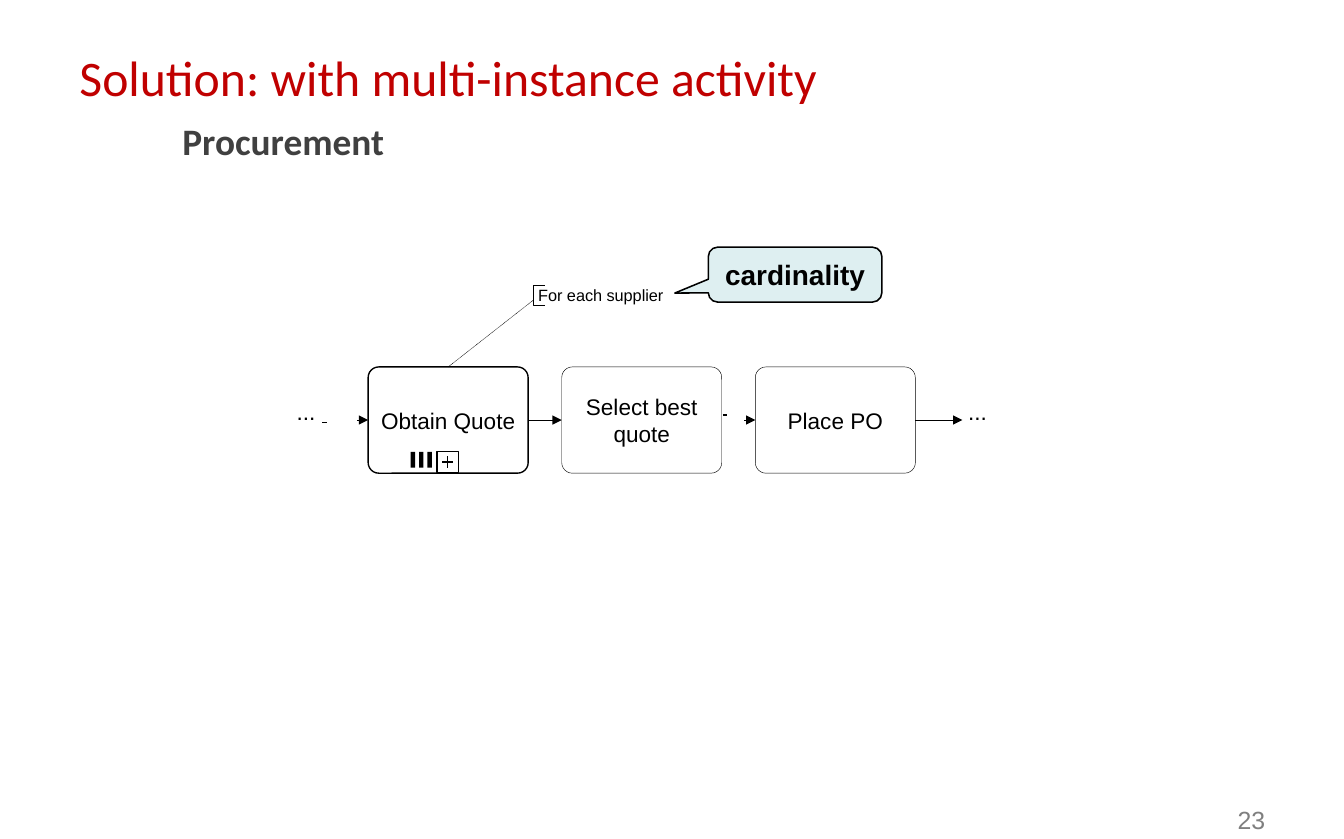
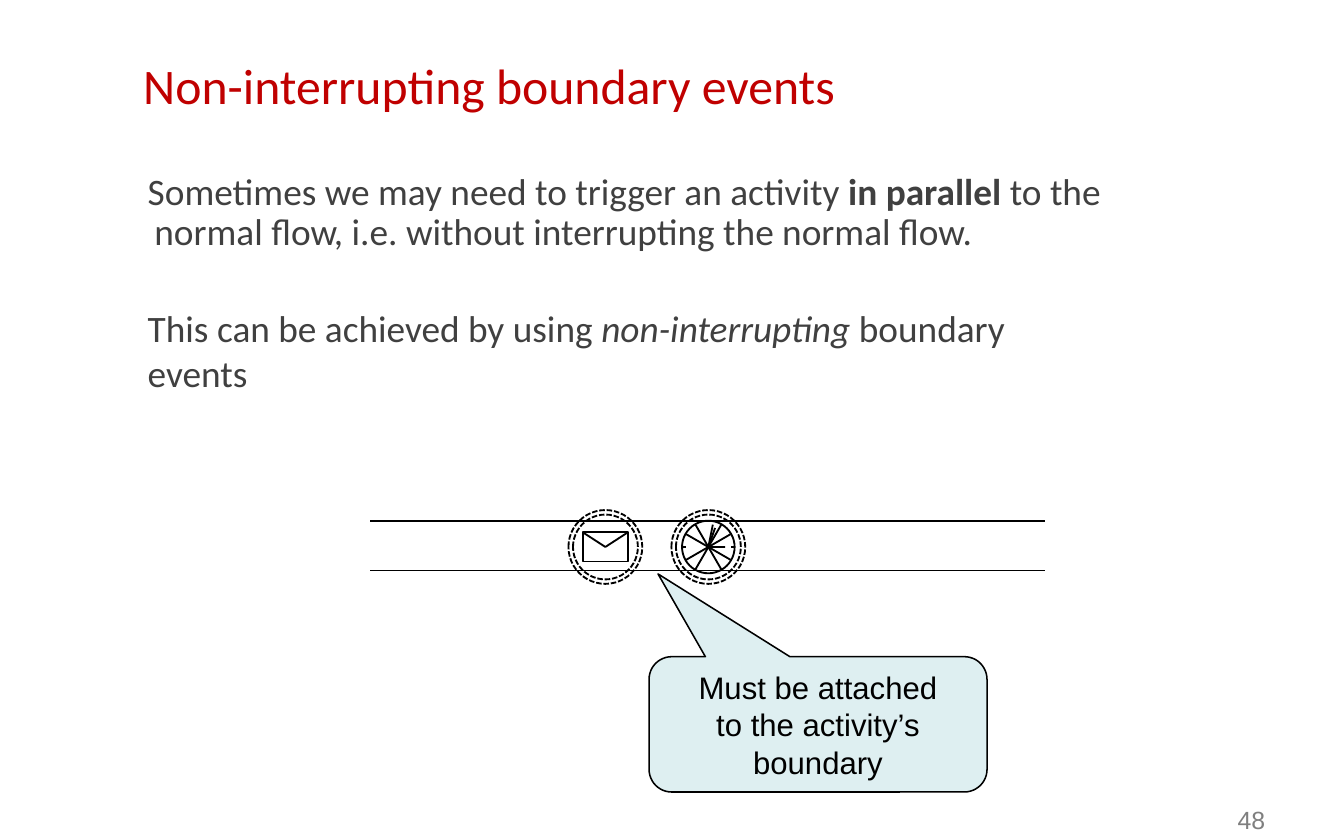
from math import cos, radians, sin

from pptx import Presentation
from pptx.dml.color import RGBColor
from pptx.enum.dml import MSO_LINE as Dash
from pptx.enum.shapes import MSO_CONNECTOR as Connector, MSO_SHAPE as Preset
from pptx.enum.text import MSO_ANCHOR as Anchor, MSO_AUTO_SIZE as AutoSize, PP_ALIGN as Align
from pptx.oxml.ns import qn
from pptx.util import Inches, Pt

RED, DARK, GREY = "C00000", "404040", "7F7F7F"
BLACK, WHITE, PALE = "000000", "FFFFFF", "DEEFF1"
HAIR, THIN, MEDIUM = 0.29, 0.87, 1.2

# Procurement flow
STEPS = [("Obtain Quote", THIN), ("Select best quote", HAIR), ("Place PO", HAIR)]
STEP_LEFT, STEP_TOP, STEP_WIDTH, STEP_HEIGHT, STEP_GAP = 3.29, 3.28, 1.43, 0.95, 0.3
FLOW_Y = STEP_TOP + STEP_HEIGHT / 2
ELLIPSES = [2.65, 8.65]
FLOW_DASHES = [(2.88, 3.78), (6.46, 3.71)]

# Boundary events
BODY = [
    [("Sometimes we may need to trigger an activity ", ""), ("in parallel", "bold"),
     (" to the", ""), None,
     ("normal flow, i.e. without interrupting the normal flow.", "")],
    [("This can be achieved by using ", ""), ("non-interrupting", "italic"),
     (" boundary", ""), None, ("events", "")],
]
MESSAGE_X, TIMER_X, EVENT_Y = 5.41, 6.33, 4.89
EVENT_RINGS = [0.66, 0.58]
CLOCK_SIZE, SPOKE = 0.47, 0.23
BOUNDARY_LINES = [(4.66, 1.4), (5.1, 0.75)]


def rgb(hex_code):
    return RGBColor.from_string(hex_code)


def style_font(font, size, color, name="Arial", bold=False):
    font.name, font.size, font.bold = name, Pt(size), bold
    font.color.rgb = rgb(color)


def reset_frame(frame, anchor=Anchor.TOP, side=0):
    frame.margin_left = frame.margin_right = Inches(side)
    frame.margin_top = frame.margin_bottom = 0
    frame.word_wrap = True
    frame.auto_size = AutoSize.NONE
    frame.vertical_anchor = anchor


def add_text(page, text, left, top, width, height, size, color=BLACK):
    box = page.shapes.add_textbox(*map(Inches, (left, top, width, height)))
    reset_frame(box.text_frame)
    box.text_frame.text = text
    style_font(box.text_frame.paragraphs[0].runs[0].font, size, color)
    return box


def paint(shape, fill, line, width):
    """Set fill and outline; None leaves either one out."""
    shape.shadow.inherit = False
    if fill:
        shape.fill.solid()
        shape.fill.fore_color.rgb = rgb(fill)
    else:
        shape.fill.background()
    if line:
        shape.line.color.rgb = rgb(line)
        shape.line.width = Pt(width)
    else:
        shape.line.fill.background()
    return shape


def add_preset(page, kind, left, top, width, height, fill=None, line=BLACK, weight=MEDIUM):
    shape = page.shapes.add_shape(kind, *map(Inches, (left, top, width, height)))
    return paint(shape, fill, line, weight)


def add_centred(page, kind, x, y, width, height, **look):
    return add_preset(page, kind, x - width / 2, y - height / 2, width, height, **look)


def label(shape, text, size, bold=False, side=0.05):
    frame = shape.text_frame
    reset_frame(frame, Anchor.MIDDLE, side)
    frame.text = text
    frame.paragraphs[0].alignment = Align.CENTER
    style_font(frame.paragraphs[0].runs[0].font, size, BLACK, bold=bold)


def add_line(page, start, end, weight=MEDIUM, arrow=False):
    line = page.shapes.add_connector(Connector.STRAIGHT, *map(Inches, (*start, *end)))
    line.line.color.rgb = rgb(BLACK)
    line.line.width = Pt(weight)
    properties = line._element.spPr
    if arrow:
        outline = properties.find(qn("a:ln"))
        outline.append(outline.makeelement(qn("a:tailEnd"), {"type": "triangle"}))
    properties.append(properties.makeelement(qn("a:effectLst"), {}))
    return line


def add_polyline(page, points):
    corners = [(Inches(x), Inches(y)) for x, y in points]
    builder = page.shapes.build_freeform(*corners[0])
    builder.add_line_segments(corners[1:], close=False)
    return paint(builder.convert_to_shape(), None, BLACK, MEDIUM)


def add_callout(page, text, left, top, width, height, tip, size, bold=False, side=0.05):
    bubble = add_preset(page, Preset.ROUNDED_RECTANGULAR_CALLOUT,
                        left, top, width, height, fill=PALE, weight=1)
    bubble.adjustments[0] = (tip[0] - left - width / 2) / width
    bubble.adjustments[1] = (tip[1] - top - height / 2) / height
    bubble.adjustments[2] = 0.167
    label(bubble, text, size, bold, side)


def add_page(deck, title, left, top, number, subtitle=None):
    page = deck.slides.add_slide(deck.slide_layouts[5])
    holder = page.shapes.title
    holder.left, holder.top, holder.width, holder.height = map(Inches, (left, top, 9, 1.05))
    frame = holder.text_frame
    reset_frame(frame)
    frame.text = title
    para = frame.paragraphs[0]
    para.alignment = Align.LEFT
    style_font(para.runs[0].font, 32, RED, "Calibri")
    if subtitle:
        para = frame.add_paragraph()
        para.text = subtitle
        para.alignment = Align.LEFT
        para.space_before = Pt(7.5)
        para._p.get_or_add_pPr().set("marL", str(Inches(0.92)))
        style_font(para.runs[0].font, 24, DARK, "Calibri", bold=True)
    footer = add_text(page, number, 11.06, 7.2, 0.33, 0.28, 16, GREY)
    footer.text_frame.paragraphs[0].line_spacing = Pt(18.7)
    return page


def add_loop_markers(page):
    """Parallel bars and the sub-process plus sign."""
    for index in range(3):
        add_centred(page, Preset.RECTANGLE, 3.69 + index * 0.075, 4.11, 0.04, 0.14,
                    fill=BLACK, line=None)
    x, y, arm = 4.0, 4.13, 0.05
    add_centred(page, Preset.RECTANGLE, x, y, 0.19, 0.19, fill=WHITE, weight=THIN)
    add_line(page, (x, y - arm), (x, y + arm), THIN)
    add_line(page, (x - arm, y), (x + arm, y), THIN)


def build_procurement(deck):
    page = add_page(deck, "Solution: with multi-instance activity", 0.71, 0.42, "23",
                    "Procurement")
    boxes = []
    for index, (text, weight) in enumerate(STEPS):
        left = STEP_LEFT + index * (STEP_WIDTH + STEP_GAP)
        box = add_preset(page, Preset.ROUNDED_RECTANGLE, left, STEP_TOP,
                         STEP_WIDTH, STEP_HEIGHT, fill=WHITE, weight=weight)
        box.adjustments[0] = 0.1
        label(box, text, 14.5)
        boxes.append(box)
    obtain, select, place = boxes

    for start_x, source, target in [(3.19, None, obtain), (4.72, obtain, select),
                                    (6.65, None, place), (8.18, place, None)]:
        arrow = add_line(page, (start_x, FLOW_Y), (8.6, FLOW_Y), HAIR, arrow=True)
        if source:
            arrow.begin_connect(source, 3)
        if target:
            arrow.end_connect(target, 1)
    for x, y in FLOW_DASHES:
        add_line(page, (x, y), (x + 0.04, y), 0.75)
    for left in ELLIPSES:
        add_text(page, "...", left, 3.56, 0.25, 0.27, 14.5)
    add_loop_markers(page)

    association = add_line(page, (4, STEP_TOP), (4.77, 2.68), HAIR)
    association.begin_connect(obtain, 0)
    association.line.dash_style = Dash.ROUND_DOT
    bracket = add_preset(page, Preset.LEFT_BRACKET, 4.77, 2.55, 0.1, 0.18, weight=THIN)
    bracket.adjustments[0] = 0
    add_text(page, "For each supplier", 4.81, 2.55, 1.3, 0.2, 10.5)
    add_callout(page, "cardinality", 6.33, 2.21, 1.55, 0.49, (6.03, 2.62), 18, bold=True)


def add_body(page):
    box = page.shapes.add_textbox(*map(Inches, (1.29, 1.54, 8.9, 2.1)))
    frame = box.text_frame
    reset_frame(frame)
    for index, spans in enumerate(BODY):
        para = frame.add_paragraph() if index else frame.paragraphs[0]
        for span in spans:
            if span is None:
                para.add_line_break()
                continue
            run = para.add_run()
            run.text, emphasis = span
            style_font(run.font, 24, DARK, "Calibri", bold=emphasis == "bold")
            run.font.italic = emphasis == "italic"
    first, second = frame.paragraphs
    first.line_spacing = Pt(25.9)
    second.space_before = Pt(34)
    for para, margin, indent in [(first, 0.09, -0.06), (second, 0.03, 0)]:
        properties = para._p.get_or_add_pPr()
        properties.set("marL", str(Inches(margin)))
        properties.set("indent", str(Inches(indent)))


def add_event(page, x):
    for size in EVENT_RINGS:
        ring = add_centred(page, Preset.OVAL, x, EVENT_Y, size, size)
        ring.line.dash_style = Dash.SQUARE_DOT


def add_envelope(page, x, y):
    width, height = 0.4, 0.26
    add_centred(page, Preset.RECTANGLE, x, y, width, height)
    add_polyline(page, [(x - width / 2, y - height / 2), (x, y),
                        (x + width / 2, y - height / 2)])


def add_clock(page, x, y):
    add_centred(page, Preset.OVAL, x, y, CLOCK_SIZE, CLOCK_SIZE)
    for angle in (30, 60, 120, 150):
        dx, dy = SPOKE * cos(radians(angle)), SPOKE * sin(radians(angle))
        add_line(page, (x - dx, y - dy), (x + dx, y + dy))
    for side in (-1, 1):
        add_line(page, (x + side * 0.2, y), (x + side * 0.23, y))
    add_line(page, (x, y), (x + 0.06, y - 0.17))
    add_polyline(page, [(x + 0.04, y - 0.2), (x, y), (x + 0.15, y)])


def build_boundary_events(deck):
    page = add_page(deck, "Non-interrupting boundary events", 1.28, 0.49, "48")
    add_body(page)
    for x, add_icon in [(MESSAGE_X, add_envelope), (TIMER_X, add_clock)]:
        add_event(page, x)
        add_icon(page, x, EVENT_Y)
    for y, weight in BOUNDARY_LINES:
        add_line(page, (3.31, y), (9.34, y), weight)
    add_callout(page, "Must be attached to the activity’s boundary",
                5.8, 5.87, 3.02, 1.21, (5.88, 5.13), 20, side=0.25)


def main():
    deck = Presentation()
    deck.slide_width, deck.slide_height = Inches(12.01), Inches(7.5)
    build_procurement(deck)
    build_boundary_events(deck)
    deck.save("out.pptx")


if __name__ == "__main__":
    main()
